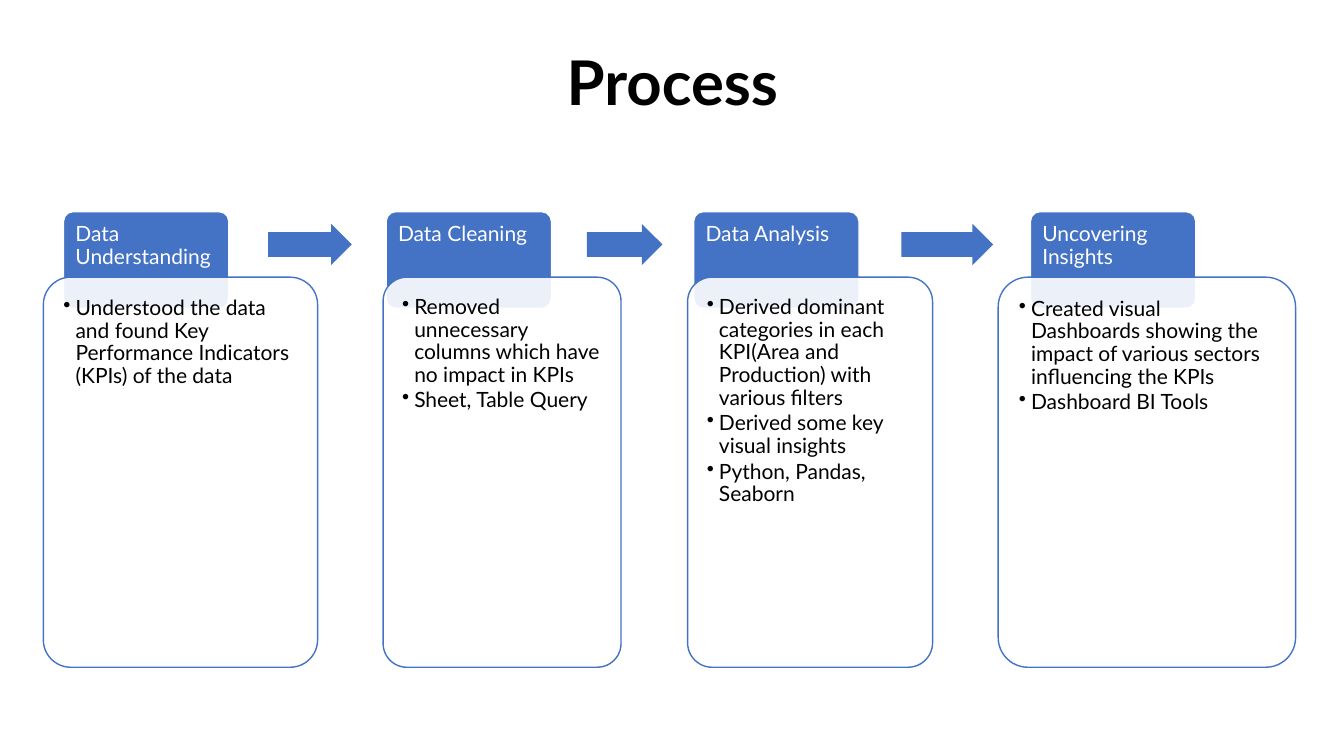
"""Build the Process slide with four stages joined by arrows."""
import dataclasses

import lxml.etree
import pptx
import pptx.dml.color
import pptx.enum.shapes
import pptx.enum.text
import pptx.oxml.ns
import pptx.util

Inches = pptx.util.Inches
Pt = pptx.util.Pt
Kind = pptx.enum.shapes.MSO_SHAPE
Align = pptx.enum.text.PP_ALIGN
Anchor = pptx.enum.text.MSO_ANCHOR
qn = pptx.oxml.ns.qn

BLUE, WHITE, BLACK = "4472C4", "FFFFFF", "000000"


@dataclasses.dataclass
class Stage:
    head: str
    tab: float
    left: float
    width: float
    items: list[str]


@dataclasses.dataclass
class Arrow:
    left: float
    width: float


STAGES = [
    Stage("Data Understanding", 0.63, 0.43, 2.72, [
        "Understood the data and found Key Performance Indicators (KPIs) of the data"]),
    Stage("Data Cleaning", 3.83, 3.8, 2.36, [
        "Removed unnecessary columns which have no impact in KPIs",
        "Sheet, Table Query"]),
    Stage("Data Analysis", 6.88, 6.82, 2.43, [
        "Derived dominant categories in each KPI(Area and Production) with various filters",
        "Derived some key visual insights",
        "Python, Pandas, Seaborn"]),
    Stage("Uncovering Insights", 10.22, 9.9, 2.95, [
        "Created visual Dashboards showing the impact of various sectors influencing the KPIs",
        "Dashboard BI Tools"]),
]
ARROWS = [Arrow(2.66, 0.83), Arrow(5.82, 0.75), Arrow(8.94, 0.91)]


def color(code: str) -> pptx.dml.color.RGBColor:
    return pptx.dml.color.RGBColor.from_string(code)


def block(slide, kind, left: float, top: float, width: float, height: float,
          fill: str, line: str | None = None):
    shape = slide.shapes.add_shape(
        kind, Inches(left), Inches(top), Inches(width), Inches(height))
    shape.shadow.inherit = False
    shape.fill.solid()
    shape.fill.fore_color.rgb = color(fill)
    if line:
        shape.line.color.rgb = color(line)
        shape.line.width = Pt(1)
    else:
        shape.line.fill.background()
    return shape


def write(shape, lines: list[str], size: float, ink: str, inset: float,
          align=Align.LEFT, anchor=Anchor.TOP, bold: bool = False,
          bullet: bool = False) -> None:
    frame = shape.text_frame
    frame.text = "\n".join(lines)
    frame.word_wrap = True
    frame.vertical_anchor = anchor
    frame.margin_left = frame.margin_right = Inches(inset)
    frame.margin_top = frame.margin_bottom = Inches(inset)
    for para in frame.paragraphs:
        para.alignment = align
        para.line_spacing = 0.9
        if bullet:
            para.space_after = Pt(2)
            props = para._p.get_or_add_pPr()
            props.set("marL", str(Inches(0.12)))
            props.set("indent", str(-Inches(0.12)))
            lxml.etree.SubElement(props, qn("a:buChar")).set("char", "•")
        for run in para.runs:
            run.font.name = "Lato"
            run.font.size = Pt(size)
            run.font.bold = bold
            run.font.color.rgb = color(ink)


def draw(slide, stage: Stage) -> None:
    tab = block(slide, Kind.ROUNDED_RECTANGLE, stage.tab, 2.1, 1.64, 0.96, BLUE, WHITE)
    tab.adjustments[0] = 0.1
    write(tab, [stage.head], 15, WHITE, 0.09)
    panel = block(slide, Kind.ROUNDED_RECTANGLE, stage.left, 2.75, stage.width, 3.87,
                  WHITE, BLUE)
    panel.adjustments[0] = 0.1
    tint = panel._element.spPr.find(qn("a:solidFill"))[0]
    lxml.etree.SubElement(tint, qn("a:alpha")).set("val", "90000")
    write(panel, stage.items, 15, BLACK, 0.12, bullet=True)


def point(slide, arrow: Arrow) -> None:
    shape = block(slide, Kind.RIGHT_ARROW, arrow.left, 2.22, arrow.width, 0.41, BLUE)
    shape.adjustments[0] = 0.6
    shape.adjustments[1] = 0.5


def main() -> None:
    deck = pptx.Presentation()
    deck.slide_width, deck.slide_height = Inches(13.33), Inches(7.5)
    slide = deck.slides.add_slide(deck.slide_layouts[6])
    title = slide.shapes.add_textbox(Inches(0.92), Inches(0.38), Inches(11.5), Inches(0.93))
    write(title, ["Process"], 44, BLACK, 0.05, Align.CENTER, Anchor.MIDDLE, bold=True)
    for stage in STAGES:
        draw(slide, stage)
    for arrow in ARROWS:
        point(slide, arrow)
    deck.save("out.pptx")


if __name__ == "__main__":
    main()
